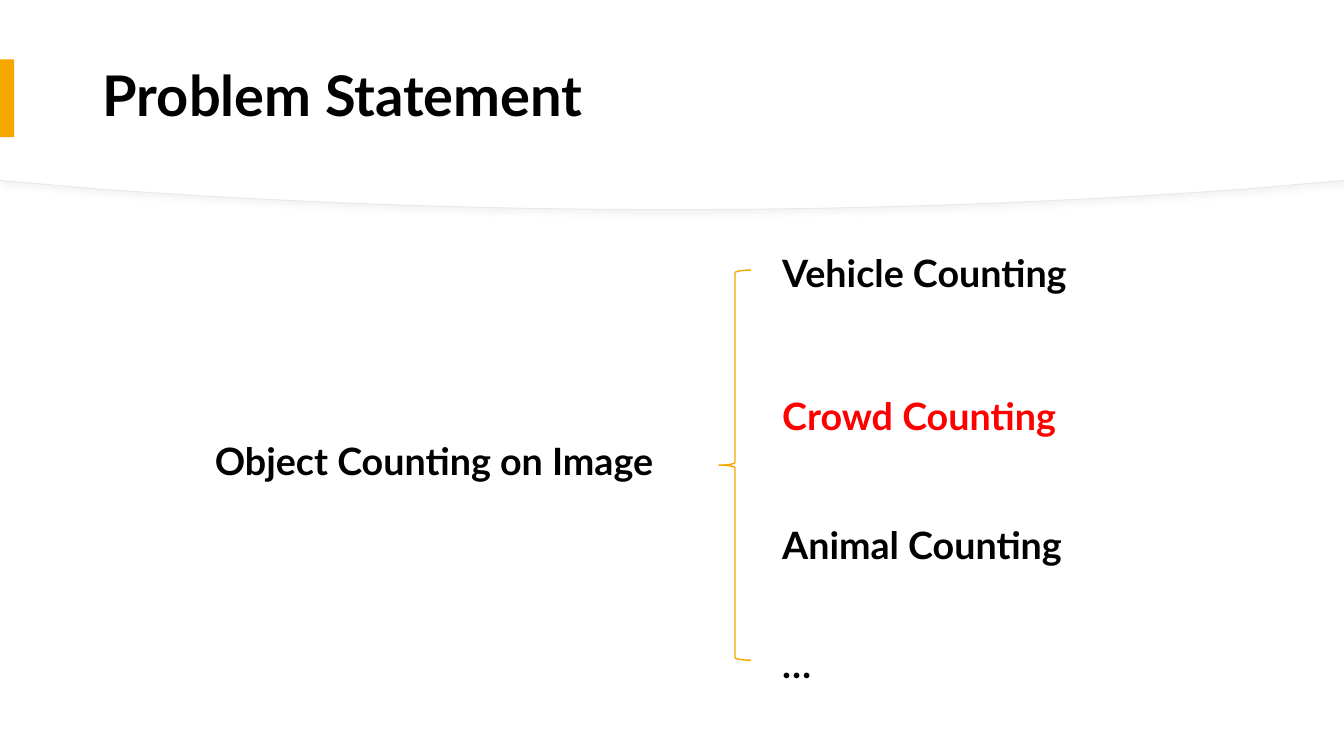
from lxml.etree import SubElement
from pptx import Presentation
from pptx.dml.color import RGBColor
from pptx.enum.shapes import MSO_SHAPE
from pptx.enum.text import MSO_ANCHOR, PP_ALIGN
from pptx.oxml.ns import qn
from pptx.util import Inches, Pt

WHITE = RGBColor(0xFF, 0xFF, 0xFF)
BLACK = RGBColor(0x00, 0x00, 0x00)
RED = RGBColor(0xFF, 0x00, 0x00)
AMBER = RGBColor(0xF5, 0xA7, 0x00)
GREY = RGBColor(0xE9, 0xE9, 0xE9)
SHADOW = RGBColor(0xD9, 0xD9, 0xD9)
FONT = "Lato"
WIDTH, HEIGHT = 13.33, 7.5
BODY_SIZE = 26.9


def add_text(slide, box, text, size=BODY_SIZE, color=BLACK, align=PP_ALIGN.LEFT,
             anchor=MSO_ANCHOR.TOP, spacing=1.1):
    """Add one bold line of text in the given box."""
    tf = slide.shapes.add_textbox(*map(Inches, box)).text_frame
    tf.word_wrap = True
    tf.vertical_anchor = anchor
    p = tf.paragraphs[0]
    p.text = text
    p.alignment = align
    p.line_spacing = spacing
    font = p.runs[0].font
    font.name, font.size, font.bold = FONT, Pt(size), True
    font.color.rgb = color


def curve_points(start, control1, control2, end, steps=24):
    """Return points along a cubic curve, leaving out its start."""
    points = []
    for i in range(1, steps + 1):
        t = i / steps
        weights = ((1 - t) ** 3, 3 * t * (1 - t) ** 2, 3 * t * t * (1 - t), t ** 3)
        points.append(tuple(sum(w * c for w, c in zip(weights, axis))
                            for axis in zip(start, control1, control2, end)))
    return points


def add_band(slide, width, depth):
    """Add a white band from the top edge, with a curved lower edge."""
    middle = width / 2
    shoulder = (width - 0.91, depth - 0.21)
    right = [(width, 0), (width, depth - 0.29), shoulder]
    right += curve_points(shoulder, (width - 2.68, depth - 0.08),
                          (middle + 2.04, depth), (middle, depth))
    left = [(width - x, y) for x, y in reversed(right[:-1])]
    builder = slide.shapes.build_freeform(0, 0, scale=1.0)
    builder.add_line_segments([(Inches(x), Inches(y)) for x, y in right + left])
    band = builder.convert_to_shape()
    band.shadow.inherit = False
    band.fill.solid()
    band.fill.fore_color.rgb = WHITE
    band.line.fill.background()
    return band


def add_soft_shadow(sp):
    """Give the shape a soft grey shadow to the lower right."""
    effects = sp._element.spPr.find(qn("a:effectLst"))
    shadow = SubElement(effects, qn("a:outerShdw"), blurRad=str(Pt(4)),
                        dist=str(Pt(3)), dir="2700000", algn="tl", rotWithShape="0")
    color = SubElement(shadow, qn("a:srgbClr"), val=str(SHADOW))
    SubElement(color, qn("a:alpha"), val="30000")


def add_header(slide, box, title):
    """Add the curved header with its accent bar and title."""
    left, top, width, depth = box
    band = add_band(slide, width, depth)
    band.line.color.rgb = GREY
    band.line.width = Pt(0.75)
    add_soft_shadow(band)
    add_band(slide, width, depth - 0.01)
    add_text(slide, (left + 0.92, top + 0.28, 11.5, 1.39), title, size=40,
             anchor=MSO_ANCHOR.MIDDLE, spacing=0.9)
    bar = slide.shapes.add_shape(MSO_SHAPE.RECTANGLE, Inches(left), Inches(top + 0.59),
                                 Inches(0.14), Inches(0.77))
    bar.shadow.inherit = False
    bar.fill.solid()
    bar.fill.fore_color.rgb = AMBER
    bar.line.fill.background()


def add_breakdown(slide, box, topic, branches):
    """Add a topic, a brace and the branches listed beside it."""
    left, top, width, height = box
    add_text(slide, (left, top + 1.86, 5.65, 0.83), topic, align=PP_ALIGN.CENTER)
    brace = slide.shapes.add_shape(MSO_SHAPE.LEFT_BRACE, Inches(left + 5.65),
                                   Inches(top + 0.29), Inches(0.32), Inches(3.87))
    brace.shadow.inherit = False
    brace.fill.background()
    brace.line.color.rgb = AMBER
    brace.line.width = Pt(1)
    for text, offset, color in branches:
        add_text(slide, (left + 6.18, top + offset, width - 6.18, 0.57), text, color=color)


def main():
    """Build and save the slide."""
    prs = Presentation()
    prs.slide_width, prs.slide_height = Inches(WIDTH), Inches(HEIGHT)
    s = prs.slides.add_slide(prs.slide_layouts[6])
    s.background.fill.solid()
    s.background.fill.fore_color.rgb = WHITE
    add_header(s, (0, 0, WIDTH, 2.08), "Problem Statement")
    branches = [
        ("Vehicle Counting", 0, BLACK),
        ("Crowd Counting", 1.41, RED),
        ("Animal Counting", 2.69, BLACK),
        ("…", 3.87, BLACK),
    ]
    add_breakdown(s, (1.48, 2.39, 10.37, 4.44), "Object Counting on Image", branches)
    prs.save("out.pptx")


if __name__ == "__main__":
    main()
